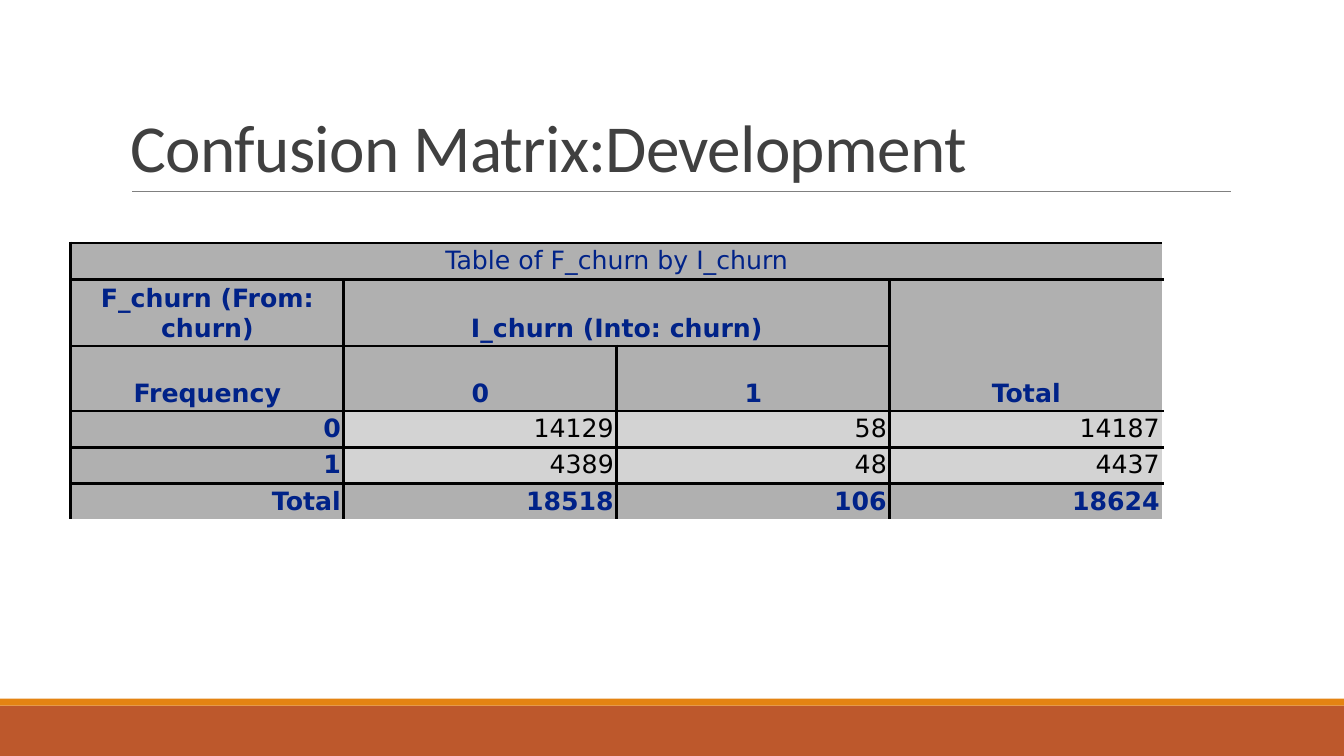
from pptx import Presentation
from pptx.dml.color import RGBColor as RGB
from pptx.enum.shapes import MSO_CONNECTOR as LINK, MSO_SHAPE as SHAPE
from pptx.enum.text import MSO_ANCHOR as ANCHOR, PP_ALIGN as ALIGN
from pptx.oxml import parse_xml
from pptx.oxml.ns import nsdecls
from pptx.util import Pt

WIDE, HIGH = 960, 540
NAVY, BLACK, WHITE = "002288", "000000", "FFFFFF"
DARK, LIGHT = "B0B0B0", "D3D3D3"
HEAD = 3
ROWS = [
    ["Table of F_churn by I_churn", "", "", ""],
    ["F_churn (From: churn)", "I_churn (Into: churn)", "", "Total"],
    ["Frequency", "0", "1", ""],
    ["0", "14129", "58", "14187"],
    ["1", "4389", "48", "4437"],
    ["Total", "18518", "106", "18624"],
]
TALL = [25.5, 46.4, 46.4, 25.5, 25.5, 25.5]
SPANS = [(0, 0, 0, 3), (1, 1, 1, 2), (1, 3, 2, 3)]


def color(code):
    return RGB.from_string(code)


def style(obj, form):
    for key, val in form.items():
        setattr(obj, key, val)


def write(frame, text, form, hue, **para):
    item = frame.paragraphs[0]
    style(item, para)
    run = item.add_run()
    run.text = text
    style(run.font, form)
    run.font.color.rgb = color(hue)
    return run


def band(slide, top, tall, hue):
    bar = slide.shapes.add_shape(SHAPE.RECTANGLE, 0, Pt(top), Pt(WIDE), Pt(tall))
    bar.shadow.inherit = False
    bar.fill.solid()
    bar.fill.fore_color.rgb = color(hue)
    bar.line.fill.background()


def footer(slide, top, tall):
    band(slide, top, tall, "BD582C")
    band(slide, top - 5, 5, "E48312")


def title(slide, left, top, wide, tall):
    base = Pt(top + tall)
    rule = slide.shapes.add_connector(
        LINK.STRAIGHT, Pt(left + 8), base, Pt(left + wide + 0.7), base)
    rule.line.width = Pt(0.5)
    rule.line.color.rgb = color("808080")
    rule._element.spPr.append(parse_xml(f"<a:effectLst {nsdecls('a')}/>"))
    box = slide.shapes.add_textbox(Pt(left), Pt(top), Pt(wide), Pt(tall))
    frame = box.text_frame
    style(frame, {"word_wrap": True, "vertical_anchor": ANCHOR.BOTTOM})
    run = write(frame, "Confusion Matrix:Development",
                {"size": Pt(48), "name": "Calibri"}, "404040", line_spacing=0.85)
    run._r.get_or_add_rPr().set("spc", "-50")


def edge(cell, side, outer):
    hue, size = (WHITE, 1.13) if outer else (BLACK, 2.25)
    cell._tc.get_or_add_tcPr().append(parse_xml(
        f'<a:ln{side} {nsdecls("a")} w="{Pt(size)}"><a:solidFill>'
        f'<a:srgbClr val="{hue}"/></a:solidFill></a:ln{side}>'))


def fill(cell, row, col, text):
    right = col + cell.span_width == len(ROWS[0]) if cell.is_merge_origin else col == 3
    last = row == len(ROWS) - 1
    for side, outer in (("L", False), ("R", right), ("T", False), ("B", last)):
        edge(cell, side, outer)
    data = col > 0 and HEAD <= row and not last
    cell.fill.solid()
    cell.fill.fore_color.rgb = color(LIGHT if data else DARK)
    pad = Pt(2.2)
    style(cell, {"margin_left": pad, "margin_right": pad,
                 "margin_top": pad, "margin_bottom": pad,
                 "vertical_anchor": ANCHOR.BOTTOM if row in (1, 2) else ANCHOR.TOP})
    form = {"size": Pt(18), "name": "DejaVu Sans", "bold": row > 0 and not data}
    write(cell.text_frame, text, form, BLACK if data else NAVY,
          alignment=ALIGN.CENTER if row < HEAD else ALIGN.RIGHT)


def matrix(slide, left, top, wide):
    grid = slide.shapes.add_table(
        len(ROWS), len(ROWS[0]), Pt(left), Pt(top), Pt(wide), Pt(sum(TALL))).table
    style(grid, {"first_row": False, "horz_banding": False})
    for row, tall in zip(grid.rows, TALL):
        row.height = Pt(tall)
    for r1, c1, r2, c2 in SPANS:
        grid.cell(r1, c1).merge(grid.cell(r2, c2))
    for row, texts in enumerate(ROWS):
        for col, text in enumerate(texts):
            cell = grid.cell(row, col)
            if not cell.is_spanned:
                fill(cell, row, col, text)


def main():
    deck = Presentation()
    style(deck, {"slide_width": Pt(WIDE), "slide_height": Pt(HIGH)})
    slide = deck.slides.add_slide(deck.slide_layouts[6])
    footer(slide, 504, 36)
    title(slide, 86.4, 22.5, 792, 114.2)
    matrix(slide, 50.6, 173.6, 780)
    deck.save("out.pptx")


if __name__ == "__main__":
    main()
